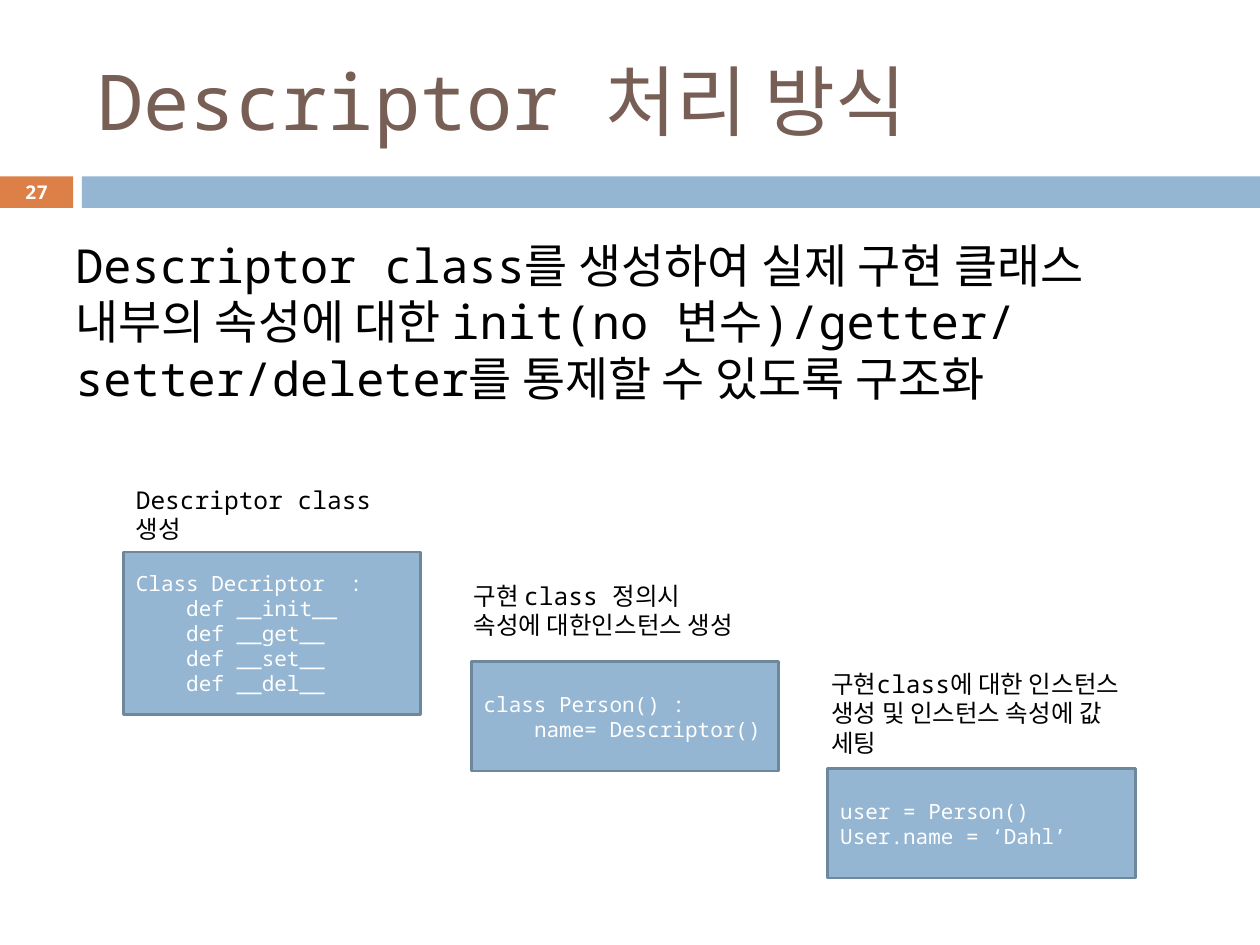
from dataclasses import dataclass

from pptx import Presentation
from pptx.dml.color import RGBColor
from pptx.enum.shapes import MSO_SHAPE
from pptx.enum.text import MSO_ANCHOR, MSO_AUTO_SIZE, PP_ALIGN
from pptx.util import Inches, Pt


@dataclass(frozen=True)
class Theme:
    font: str = "Noto Sans Mono"
    title: RGBColor = RGBColor(0x77, 0x5F, 0x55)
    accent: RGBColor = RGBColor(0xDD, 0x80, 0x47)
    blue: RGBColor = RGBColor(0x94, 0xB6, 0xD2)
    border: RGBColor = RGBColor(0x6D, 0x87, 0x9B)
    black: RGBColor = RGBColor(0, 0, 0)
    white: RGBColor = RGBColor(0xFF, 0xFF, 0xFF)
    title_size: float = 44
    body_size: float = 26.8
    caption_size: float = 14
    code_size: float = 12
    number_size: float = 10.8


THEME = Theme()
CODE_INDENT = Inches(0.4)
LINE_BREAK = "\v"

# Caption box, caption, code box, code lines as (indent level, text)
STEPS = [
    ((0.98, 3.8, 2.36, 0.57), "Descriptor class 생성",
     (0.98, 4.38, 2.36, 1.29),
     [(0, "Class Decriptor  :"), (1, "def __init__"), (1, "def __get__"),
      (1, "def __set__"), (1, "def __del__")]),
    ((3.66, 4.56, 2.52, 0.57),
     "구현 class 정의시" + LINE_BREAK + "속성에 대한인스턴스 생성",
     (3.74, 5.25, 2.44, 0.87),
     [(0, "class Person() :"), (1, "name= Descriptor()")]),
    ((6.5, 5.26, 2.52, 0.81),
     "구현class에 대한 인스턴스 생성 및 인스턴스 속성에 값 세팅",
     (6.57, 6.1, 2.44, 0.87),
     [(0, "user = Person()"), (0, "User.name = ‘Dahl’")]),
]


def inches(box):
    return [Inches(length) for length in box]


def style(paragraph, size, color, align=PP_ALIGN.LEFT, bold=False):
    paragraph.alignment = align
    paragraph.font.name = THEME.font
    paragraph.font.size = Pt(size)
    paragraph.font.color.rgb = color
    paragraph.font.bold = bold


def add_title(slide, box, text):
    title = slide.shapes.title
    title.left, title.top, title.width, title.height = inches(box)
    frame = title.text_frame
    frame.text = text
    frame.auto_size = MSO_AUTO_SIZE.NONE
    frame.vertical_anchor = MSO_ANCHOR.MIDDLE
    style(frame.paragraphs[0], THEME.title_size, THEME.title)


def add_text(slide, box, text, size, color=THEME.black):
    """Add a wrapping text box and return its text frame."""
    frame = slide.shapes.add_textbox(*inches(box)).text_frame
    frame.word_wrap = True
    frame.text = text
    style(frame.paragraphs[0], size, color)
    return frame


def add_block(slide, box, fill):
    block = slide.shapes.add_shape(MSO_SHAPE.RECTANGLE, *inches(box))
    block.shadow.inherit = False
    block.fill.solid()
    block.fill.fore_color.rgb = fill
    block.line.fill.background()
    return block


def add_header_band(slide, box, number):
    """Draw the slide number tab and the bar that fills the rest of the box."""
    left, top, width, height = box
    tab_width, bar_offset = 0.58, 0.65
    tab = (left, top, tab_width, height)
    add_block(slide, tab, THEME.accent)
    add_block(slide, (left + bar_offset, top, width - bar_offset, height), THEME.blue)
    frame = add_text(slide, tab, number, THEME.number_size)
    frame.vertical_anchor = MSO_ANCHOR.MIDDLE
    frame.margin_top = frame.margin_bottom = 0
    style(frame.paragraphs[0], THEME.number_size, THEME.white, PP_ALIGN.CENTER, True)


def add_body(slide, box, text):
    frame = add_text(slide, box, text, THEME.body_size)
    frame.paragraphs[0].space_before = Pt(7)


def add_code(slide, box, lines):
    block = add_block(slide, box, THEME.blue)
    block.line.color.rgb = THEME.border
    block.line.width = Pt(1.5)
    frame = block.text_frame
    frame.word_wrap = True
    frame.vertical_anchor = MSO_ANCHOR.MIDDLE
    frame.text = "\n".join(text for _, text in lines)
    for paragraph, (level, _) in zip(frame.paragraphs, lines):
        style(paragraph, THEME.code_size, THEME.white)
        if level:
            paragraph._p.get_or_add_pPr().set("marL", str(level * CODE_INDENT))


def add_step(slide, caption_box, caption, code_box, lines):
    add_code(slide, code_box, lines)
    add_text(slide, caption_box, caption, THEME.caption_size)


def main():
    deck = Presentation()
    deck.slide_width, deck.slide_height = Inches(10), Inches(7.5)
    slide = deck.slides.add_slide(deck.slide_layouts[5])
    add_header_band(slide, (0, 1.4, 10, 0.25), "27")
    add_title(slide, (0.67, 0.25, 8.92, 1.08), "Descriptor 처리 방식")
    add_body(slide, (0.5, 1.83, 9, 1.76), LINE_BREAK.join([
        "Descriptor class를 생성하여 실제 구현 클래스",
        "내부의 속성에 대한 init(no 변수)/getter/",
        "setter/deleter를 통제할 수 있도록 구조화",
    ]))
    for step in STEPS:
        add_step(slide, *step)
    deck.save("out.pptx")


if __name__ == "__main__":
    main()
